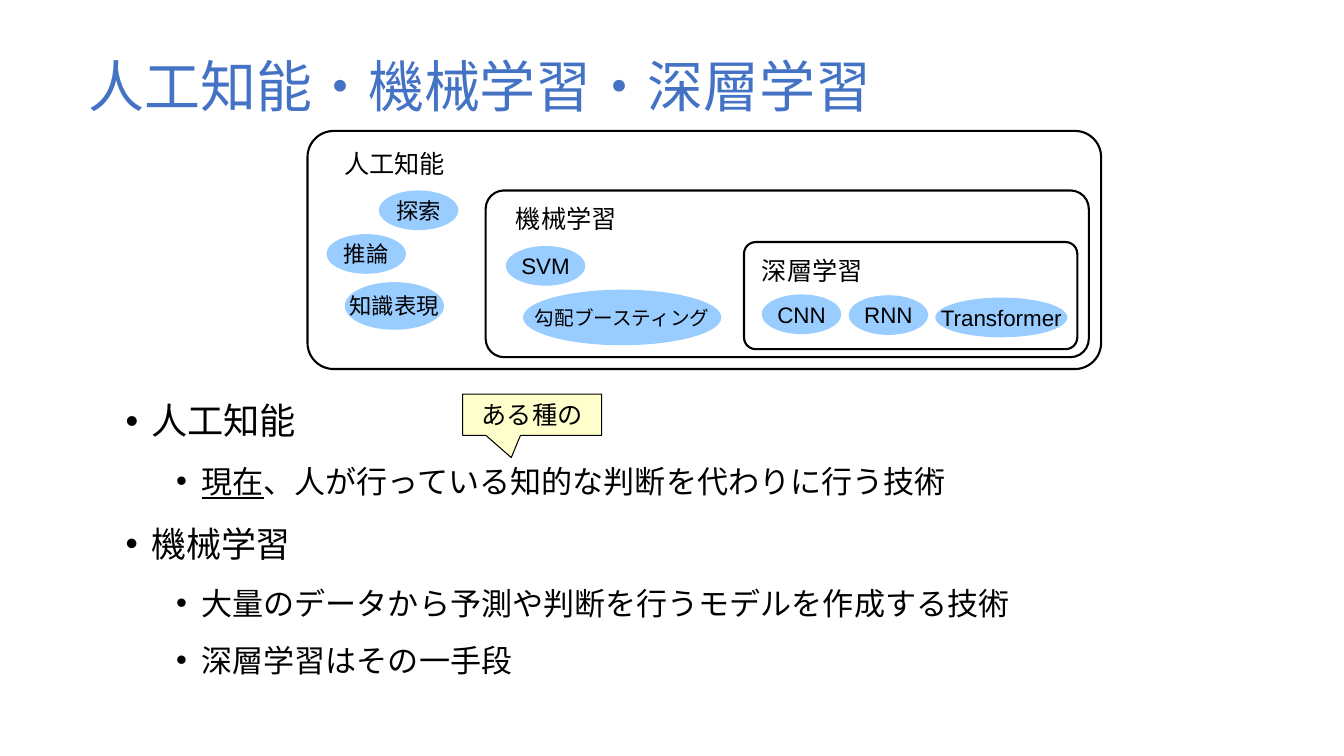
from lxml import etree
from pptx import Presentation
from pptx.dml.color import RGBColor
from pptx.enum.shapes import MSO_SHAPE
from pptx.enum.text import MSO_ANCHOR, PP_ALIGN
from pptx.oxml.ns import qn
from pptx.util import Cm, Pt

ROUNDED, OVAL = MSO_SHAPE.ROUNDED_RECTANGLE, MSO_SHAPE.OVAL
CALLOUT = MSO_SHAPE.RECTANGULAR_CALLOUT
MIDDLE, CENTER = MSO_ANCHOR.MIDDLE, PP_ALIGN.CENTER
GOTHIC, LATIN = "Noto Sans CJK JP", "Arial"
COLORS = {"title": "4472C4", "text": "000000", "line": "000000",
          "method": "99CCFF", "note": "FFFFCC"}


def add_run(p, text, size, font=GOTHIC, color="text", underline=False):
    """Add a formatted run with Latin and East Asian fonts."""
    r = p.add_run()
    r.text = text
    for name, value in {"size": Pt(size), "name": font, "underline": underline}.items():
        setattr(r.font, name, value)
    r.font.color.rgb = RGBColor.from_string(COLORS[color])
    ea = etree.Element(qn("a:ea"), typeface=GOTHIC)
    r.font._element.find(qn("a:latin")).addnext(ea)


def add_box(kind, box, fill=None, line_width=None):
    """Add a preset shape with centred, unwrapped text."""
    sp = s.shapes.add_shape(kind, *map(Cm, box))
    sp.shadow.inherit = False
    if fill:
        sp.fill.solid()
        sp.fill.fore_color.rgb = RGBColor.from_string(COLORS[fill])
    else:
        sp.fill.background()
    if line_width:
        sp.line.color.rgb = RGBColor.from_string(COLORS["line"])
        sp.line.width = Pt(line_width)
    else:
        sp.line.fill.background()
    sp.text_frame.word_wrap = False
    sp.text_frame.vertical_anchor = MIDDLE
    sp.text_frame.paragraphs[0].alignment = CENTER
    return sp


prs = Presentation()
prs.slide_width, prs.slide_height = Cm(33.87), Cm(19.05)
s = prs.slides.add_slide(prs.slide_layouts[6])

# Title
tf = s.shapes.add_textbox(Cm(1.98), Cm(1.12), Cm(21.9), Cm(2.29)).text_frame
tf.word_wrap = True
tf.vertical_anchor = MIDDLE
tf.paragraphs[0].line_spacing = 0.9
add_run(tf.paragraphs[0], "人工知能・機械学習・深層学習", 40, color="title")

# Bulleted explanation: level, size, runs as (text, underlined)
bullets = [
    (0, 25.9, [("人工知能", False)]),
    (1, 22.2, [("現在", True), ("、人が行っている知的な判断を代わりに行う技術", False)]),
    (0, 25, [("機械学習", False)]),
    (1, 22.2, [("大量のデータから予測や判断を行うモデルを作成する技術", False)]),
    (1, 22.2, [("深層学習はその一手段", False)]),
]
tf = s.shapes.add_textbox(Cm(2.92), Cm(9.75), Cm(24.16), Cm(8.46)).text_frame
tf.word_wrap = True
for i, (level, size, runs) in enumerate(bullets):
    p = tf.add_paragraph() if i else tf.paragraphs[0]
    p.level = level
    p.line_spacing = Pt(36)
    p.space_before = Pt(5 if level else 10)
    pPr = p._p.get_or_add_pPr()
    pPr.set("marL", str(Cm(0.64 + 1.27 * level)))
    pPr.set("indent", str(-Cm(0.64)))
    etree.SubElement(pPr, qn("a:buFont"), typeface=LATIN)
    etree.SubElement(pPr, qn("a:buChar"), char="•")
    for text, underline in runs:
        add_run(p, text, size, underline=underline)

# Nested fields: name, frame, label position
fields = [
    ("人工知能", (7.75, 3.3, 20, 6), (8.43, 3.61)),
    ("機械学習", (12.24, 4.8, 15.2, 4.2), (12.75, 5)),
    ("深層学習", (18.75, 6.1, 8.4, 2.7), (18.95, 6.3)),
]
for name, frame, (x, y) in fields:
    add_box(ROUNDED, frame, line_width=1.5).adjustments[0] = 0.11
    tf = s.shapes.add_textbox(Cm(x), Cm(y), Cm(3.05), Cm(1.19)).text_frame
    tf.word_wrap = False
    add_run(tf.paragraphs[0], name, 18, LATIN)

# Methods inside the fields: name, box, text size
methods = [
    ("探索", (9.55, 4.8, 2, 1), 16),
    ("知識表現", (8.69, 7.11, 2.5, 1.2), 16),
    ("SVM", (12.75, 6.2, 2, 1), 16),
    ("推論", (8.23, 5.9, 2, 1), 16),
    ("勾配ブースティング", (13.18, 7.3, 5, 1.4), 14),
    ("CNN", (19.2, 7.42, 2, 1), 16),
    ("RNN", (21.39, 7.44, 2, 1), 16),
    ("Transformer", (23.57, 7.5, 3.33, 1), 16),
]
for name, box, size in methods:
    sp = add_box(OVAL, box, "method")
    add_run(sp.text_frame.paragraphs[0], name, size, LATIN)

# Callout
note = add_box(CALLOUT, (11.66, 9.93, 3.5, 1.04), "note", 0.75)
note.adjustments[0], note.adjustments[1] = -0.15, 1.04
add_run(note.text_frame.paragraphs[0], "ある種の", 18)

prs.save("out.pptx")
